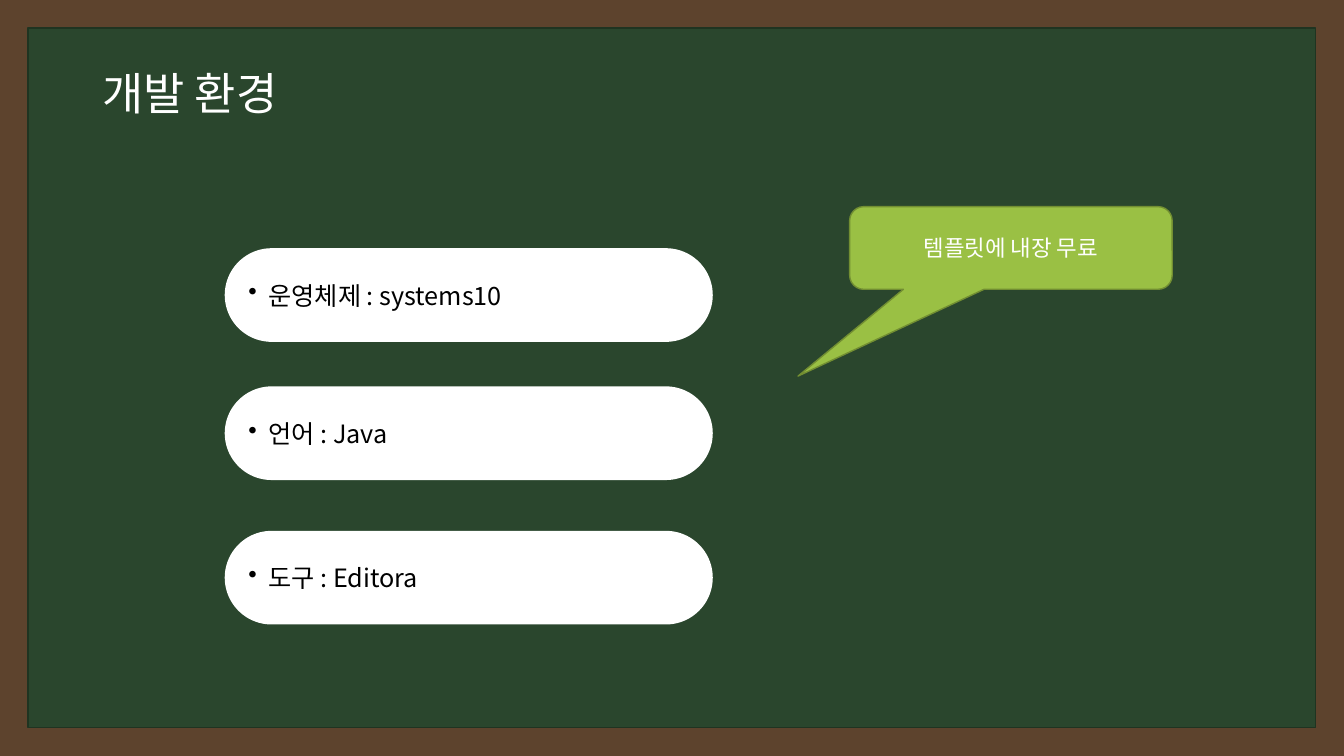
import dataclasses
import typing

import pptx
import pptx.dml.color
import pptx.enum.shapes
import pptx.enum.text
import pptx.oxml.ns
import pptx.util
from lxml import etree

KIND = pptx.enum.shapes.MSO_SHAPE
ALIGN = pptx.enum.text.PP_ALIGN
COLS, ROWS = 160, 90


@dataclasses.dataclass(frozen=True)
class Theme:
    font: str = "Noto Sans CJK KR"
    wood: str = "5D432D"
    board: str = "2A462D"
    edge: str = "1F3421"
    lime: str = "9AC044"
    moss: str = "728E32"
    white: str = "FFFFFF"
    black: str = "000000"
    title: int = 32
    body: int = 18
    note: int = 16


@dataclasses.dataclass(frozen=True)
class Box:
    col: float
    row: float
    wide: float
    high: float


@dataclasses.dataclass(frozen=True)
class Panel:
    kind: typing.Any
    box: Box
    fill: str
    line: str | None = None
    bends: tuple[float, ...] = ()


@dataclasses.dataclass(frozen=True)
class Label:
    text: str
    size: int
    color: str
    align: typing.Any = ALIGN.LEFT
    lead: float = 1.0
    dot: bool = False


@dataclasses.dataclass(frozen=True)
class Fact:
    row: float
    text: str


THEME = Theme()
BOARD = Panel(KIND.RECTANGLE, Box(3.36, 3.36, COLS - 6.72, ROWS - 6.72),
              THEME.board, THEME.edge)
HEAD = Box(11, 4.8, 138, 13.3)
TITLE = Label("개발 환경", THEME.title, THEME.white, lead=0.9)
FACTS = (
    Fact(29.55, "운영체제 : systems10"),
    Fact(46, "언어 : Java"),
    Fact(63.2, "도구 : Editora"),
)
BUBBLE = Panel(KIND.ROUNDED_RECTANGULAR_CALLOUT, Box(101.15, 24.6, 38.4, 9.84),
               THEME.lime, THEME.moss, (-0.66, 1.55, 0.17))
NOTE = Label("템플릿에 내장 무료", THEME.note, THEME.white, ALIGN.CENTER)


def paint(code: str) -> pptx.dml.color.RGBColor:
    return pptx.dml.color.RGBColor.from_string(code)


def place(deck: typing.Any, box: Box) -> tuple[int, int, int, int]:
    col, row = deck.slide_width / COLS, deck.slide_height / ROWS
    return (round(box.col * col), round(box.row * row),
            round(box.wide * col), round(box.high * row))


def write(shape: typing.Any, label: Label) -> None:
    frame = shape.text_frame
    frame.word_wrap = True
    frame.vertical_anchor = pptx.enum.text.MSO_ANCHOR.MIDDLE
    para = frame.paragraphs[0]
    para.alignment = label.align
    para.line_spacing = label.lead
    if label.dot:
        props = para._p.get_or_add_pPr()
        inset = pptx.util.Inches(0.2)
        props.set("marL", str(inset))
        props.set("indent", str(-inset))
        mark = etree.SubElement(props, pptx.oxml.ns.qn("a:buChar"))
        mark.set("char", "•")
    run = para.add_run()
    run.text = label.text
    run.font.name = THEME.font
    run.font.size = pptx.util.Pt(label.size)
    run.font.color.rgb = paint(label.color)
    asian = etree.SubElement(run._r.get_or_add_rPr(), pptx.oxml.ns.qn("a:ea"))
    asian.set("typeface", THEME.font)


def draw(deck: typing.Any, slide: typing.Any, panel: Panel,
         label: Label | None = None) -> None:
    shape = slide.shapes.add_shape(panel.kind, *place(deck, panel.box))
    shape.shadow.inherit = False
    shape.fill.solid()
    shape.fill.fore_color.rgb = paint(panel.fill)
    if panel.line:
        shape.line.color.rgb = paint(panel.line)
        shape.line.width = pptx.util.Pt(1)
    else:
        shape.line.fill.background()
    for index, bend in enumerate(panel.bends):
        shape.adjustments[index] = bend
    if label:
        write(shape, label)


def main() -> None:
    deck = pptx.Presentation()
    deck.slide_width = pptx.util.Inches(13.33)
    deck.slide_height = pptx.util.Inches(7.5)
    slide = deck.slides.add_slide(deck.slide_layouts[6])
    slide.background.fill.solid()
    slide.background.fill.fore_color.rgb = paint(THEME.wood)

    draw(deck, slide, BOARD)
    write(slide.shapes.add_textbox(*place(deck, HEAD)), TITLE)
    for fact in FACTS:
        pill = Panel(KIND.ROUNDED_RECTANGLE, Box(26.75, fact.row, 58.1, 11.15),
                     THEME.white, bends=(0.5,))
        draw(deck, slide, pill,
             Label(fact.text, THEME.body, THEME.black, dot=True))
    draw(deck, slide, BUBBLE, NOTE)
    deck.save("out.pptx")


if __name__ == "__main__":
    main()
